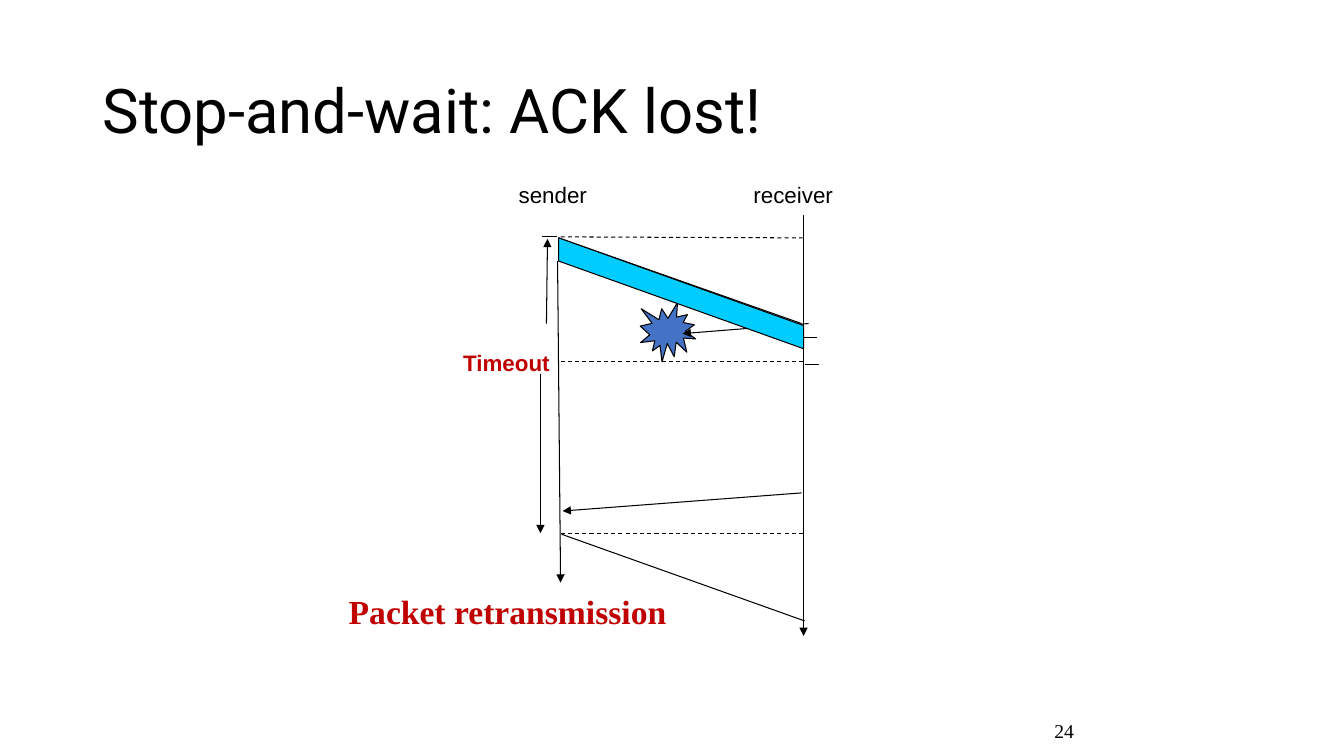
from lxml import etree
from pptx import Presentation
from pptx import util as u
from pptx.dml.color import RGBColor
from pptx.enum import dml, shapes, text
from pptx.oxml.ns import qn

BLACK = RGBColor(0x00, 0x00, 0x00)
WHITE = RGBColor(0xFF, 0xFF, 0xFF)
RED = RGBColor(0xC0, 0x00, 0x00)
CYAN = RGBColor(0x00, 0xCC, 0xFF)
BLUE = RGBColor(0x44, 0x72, 0xC4)
LINE_WIDTH = u.Pt(0.75)

deck = Presentation()
deck.slide_width, deck.slide_height = u.Inches(13.33), u.Inches(7.5)
slide = deck.slides.add_slide(deck.slide_layouts[6])


def add_label(words, box, size, font, color=BLACK, bold=False, align="LEFT",
              anchor="TOP", wrap=True, fill=None):
    label = slide.shapes.add_textbox(*map(u.Inches, box))
    if fill is not None:
        label.fill.solid()
        label.fill.fore_color.rgb = fill
    frame = label.text_frame
    frame.word_wrap = wrap
    frame.vertical_anchor = getattr(text.MSO_ANCHOR, anchor)
    paragraph = frame.paragraphs[0]
    paragraph.alignment = getattr(text.PP_ALIGN, align)
    run = paragraph.add_run()
    run.text = words
    run.font.name, run.font.size, run.font.bold = font, u.Pt(size), bold
    run.font.color.rgb = color
    return paragraph


def add_line(x1, y1, x2, y2, style="plain"):
    line = slide.shapes.add_connector(
        shapes.MSO_CONNECTOR.STRAIGHT, *map(u.Inches, (x1, y1, x2, y2)))
    line.line.color.rgb = BLACK
    line.line.width = LINE_WIDTH
    if style == "dash":
        line.line.dash_style = dml.MSO_LINE.DASH
    properties = line._element.spPr
    if style == "arrow":
        etree.SubElement(properties.find(qn("a:ln")), qn("a:tailEnd"), type="triangle")
    etree.SubElement(properties, qn("a:effectLst"))


# Slide number
add_label("24", (7.58, 7, 3.17, 0.5), 14, "Times New Roman",
          align="RIGHT", anchor="MIDDLE")

# Time axes of the two hosts
add_line(5.53, 2.59, 5.56, 5.78, "arrow")
add_line(7.97, 2.13, 7.97, 6.31, "arrow")
for host, left, width in (("sender", 4.95, 0.97), ("receiver", 7.33, 1.03)):
    add_label(host, (left, 1.75, width, 0.38), 16, "Arial", align="RIGHT", fill=WHITE)

# Dashed time levels and short ticks
for level_start, level_end in ((2.35, 2.36), (3.59, 3.59), (5.29, 5.29)):
    add_line(5.56, level_start, 7.96, level_end, "dash")
for tick_start, tick_end, tick_y in ((5.52, 5.38, 2.35), (8.1, 7.95, 3.35),
                                     (7.98, 8.12, 3.62)):
    add_line(tick_start, tick_y, tick_end, tick_y)

# Timeout interval
add_label("Timeout", (4.43, 3.41, 1.12, 0.37), 16, "Arial", RED, True, "RIGHT")
add_line(5.36, 3.71, 5.36, 5.29, "arrow")
add_line(5.42, 3.21, 5.43, 2.37, "arrow")

# Burst where the ACK is lost
burst = slide.shapes.add_shape(shapes.MSO_SHAPE.EXPLOSION1,
                               *map(u.Inches, (6.35, 3, 0.55, 0.59)))

# Acknowledgements, lost and received
add_line(8.02, 3.21, 6.77, 3.31, "arrow")
add_line(7.95, 4.89, 5.58, 5.07, "arrow")

# Retransmission
add_label("Packet retransmission", (3.36, 5.81, 3.38, 0.5), 24,
          "Times New Roman", RED, True, wrap=False)
add_line(5.57, 5.3, 7.98, 6.16)

# Title
title = add_label("Stop-and-wait: ACK lost!", (0.92, 0.4, 11.5, 1.45), 44,
                  "Roboto", anchor="MIDDLE")
title.line_spacing = 0.9

# First packet in flight
add_line(5.54, 2.36, 7.95, 3.21)
outline = slide.shapes.build_freeform(u.Inches(5.54), u.Inches(2.36), scale=1.0)
outline.add_line_segments(
    [(u.Inches(x), u.Inches(y)) for x, y in ((7.97, 3.23), (7.97, 3.46), (5.54, 2.59))],
    close=True)
packet = outline.convert_to_shape()

for body, color in ((burst, BLUE), (packet, CYAN)):
    body.shadow.inherit = False
    body.fill.solid()
    body.fill.fore_color.rgb = color
    body.line.color.rgb = BLACK
    body.line.width = LINE_WIDTH

deck.save("out.pptx")
